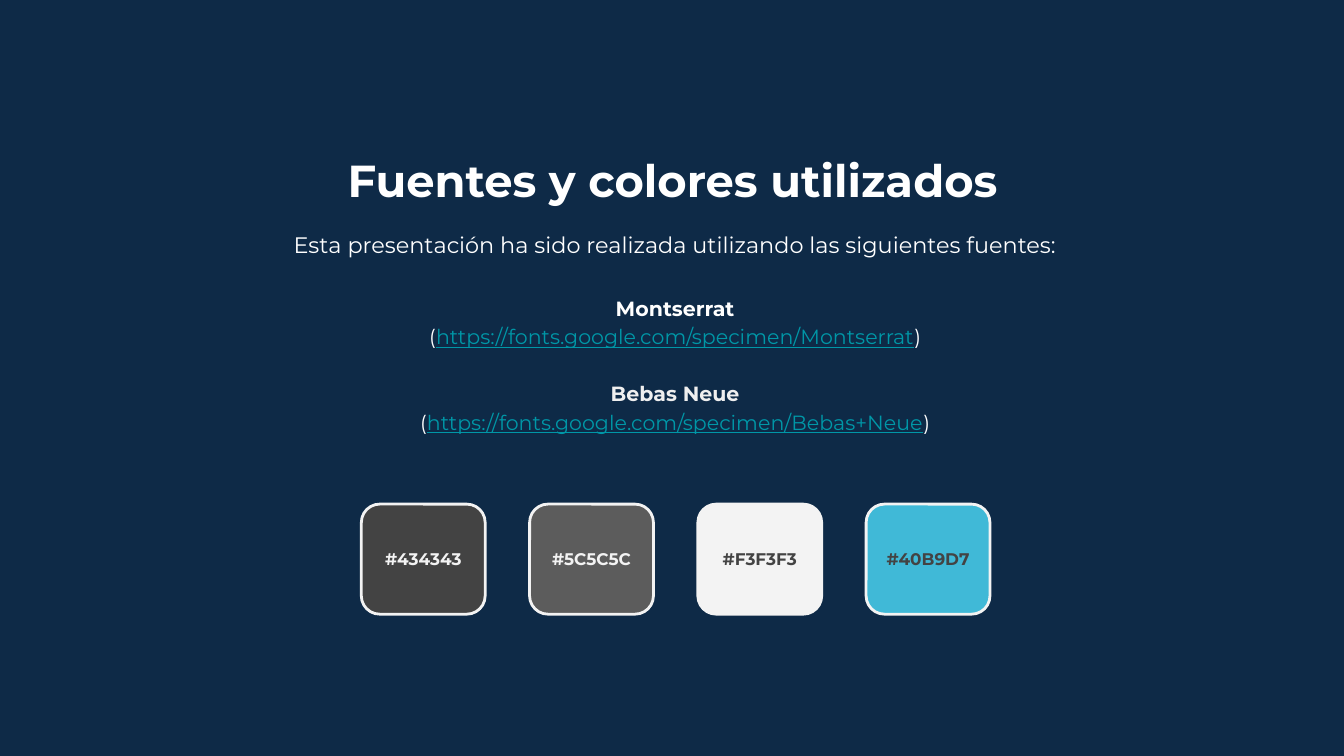
from dataclasses import dataclass

from pptx import Presentation
from pptx import util as u
from pptx.dml.color import RGBColor
from pptx.enum import shapes, text

FONT = "Montserrat"
COLORS = {
    "navy": "0E2A47",
    "white": "FFFFFF",
    "mist": "EFEFEF",
    "link": "0097A7",
    "dark": "434343",
    "gray": "5C5C5C",
    "light": "F3F3F3",
    "sky": "40B9D7",
}
LINE_SPACING = 1.15
SECTION_GAP = u.Pt(15.4)  # one line of 11 pt text

SWATCH_LEFT, SWATCH_TOP = 6.83, 9.53
SWATCH_WIDTH, SWATCH_HEIGHT = 2.34, 2.08
SWATCH_PITCH = 3.18


@dataclass(frozen=True)
class FontSource:
    name: str
    url: str
    color: str


@dataclass(frozen=True)
class Swatch:
    fill: str
    label: str


FONT_SOURCES = [
    FontSource("Montserrat", "https://fonts.google.com/specimen/Montserrat", "white"),
    FontSource("Bebas Neue", "https://fonts.google.com/specimen/Bebas+Neue", "mist"),
]
SWATCHES = [
    Swatch("dark", "light"),
    Swatch("gray", "light"),
    Swatch("light", "dark"),
    Swatch("sky", "dark"),
]


def rgb(name: str) -> RGBColor:
    return RGBColor.from_string(COLORS[name])


def write(paragraph, words: str, *, size: float, color: str = "white",
          bold: bool = False, underline: bool = False) -> None:
    """Append a formatted run to a centred paragraph."""
    paragraph.alignment = text.PP_ALIGN.CENTER
    run = paragraph.add_run()
    run.text = words
    run.font.name = FONT
    run.font.size = u.Pt(size)
    run.font.color.rgb = rgb(color)
    run.font.bold = bold
    run.font.underline = underline


def set_frame(shape, anchor=text.MSO_ANCHOR.TOP):
    """Give the shape's text frame even margins, wrapping and an anchor."""
    frame = shape.text_frame
    frame.auto_size = text.MSO_AUTO_SIZE.NONE
    frame.word_wrap = True
    frame.vertical_anchor = anchor
    frame.margin_left = frame.margin_right = u.Cm(0.25)
    frame.margin_top = frame.margin_bottom = u.Cm(0.25)
    return frame


def add_title(slide, words: str) -> None:
    title = slide.shapes.title
    title.left, title.top = u.Cm(2.92), u.Cm(2.64)
    title.width, title.height = u.Cm(19.58), u.Cm(1.35)
    write(set_frame(title).paragraphs[0], words, size=24, bold=True)


def add_intro(slide, words: str) -> None:
    intro = slide.shapes.add_textbox(u.Cm(2.97), u.Cm(4.04), u.Cm(19.58), u.Cm(1.22))
    paragraph = set_frame(intro).paragraphs[0]
    paragraph.line_spacing = LINE_SPACING
    write(paragraph, words, size=12)


def add_font_sources(slide, sources: list[FontSource]) -> None:
    box = slide.shapes.add_textbox(u.Cm(2.97), u.Cm(5.13), u.Cm(19.58), u.Cm(3.48))
    frame = set_frame(box, text.MSO_ANCHOR.MIDDLE)
    for index, source in enumerate(sources):
        heading = frame.add_paragraph() if index else frame.paragraphs[0]
        if index:
            heading.space_before = SECTION_GAP
        address = frame.add_paragraph()
        heading.line_spacing = address.line_spacing = LINE_SPACING
        write(heading, source.name, size=11, color=source.color, bold=True)
        write(address, "(", size=11)
        write(address, source.url, size=11, color="link", underline=True)
        write(address, ")", size=11)


def add_swatch(group, swatch: Swatch, left: float) -> None:
    tile = group.shapes.add_shape(
        shapes.MSO_SHAPE.ROUNDED_RECTANGLE,
        u.Cm(left), u.Cm(SWATCH_TOP), u.Cm(SWATCH_WIDTH), u.Cm(SWATCH_HEIGHT))
    tile.shadow.inherit = False
    tile.fill.solid()
    tile.fill.fore_color.rgb = rgb(swatch.fill)
    tile.line.color.rgb = rgb("light")
    tile.line.width = u.Pt(1.5)
    frame = set_frame(tile, text.MSO_ANCHOR.MIDDLE)
    write(frame.paragraphs[0], f"#{COLORS[swatch.fill]}", size=9,
          color=swatch.label, bold=True)


def main() -> None:
    deck = Presentation()
    deck.slide_width, deck.slide_height = u.Cm(25.4), u.Cm(14.29)
    slide = deck.slides.add_slide(deck.slide_layouts[5])
    slide.background.fill.solid()
    slide.background.fill.fore_color.rgb = rgb("navy")

    add_title(slide, "Fuentes y colores utilizados")
    add_intro(slide, "Esta presentación ha sido realizada utilizando las siguientes fuentes:")
    add_font_sources(slide, FONT_SOURCES)
    palette = slide.shapes.add_group_shape()
    for column, swatch in enumerate(SWATCHES):
        add_swatch(palette, swatch, SWATCH_LEFT + column * SWATCH_PITCH)

    deck.save("out.pptx")


if __name__ == "__main__":
    main()
